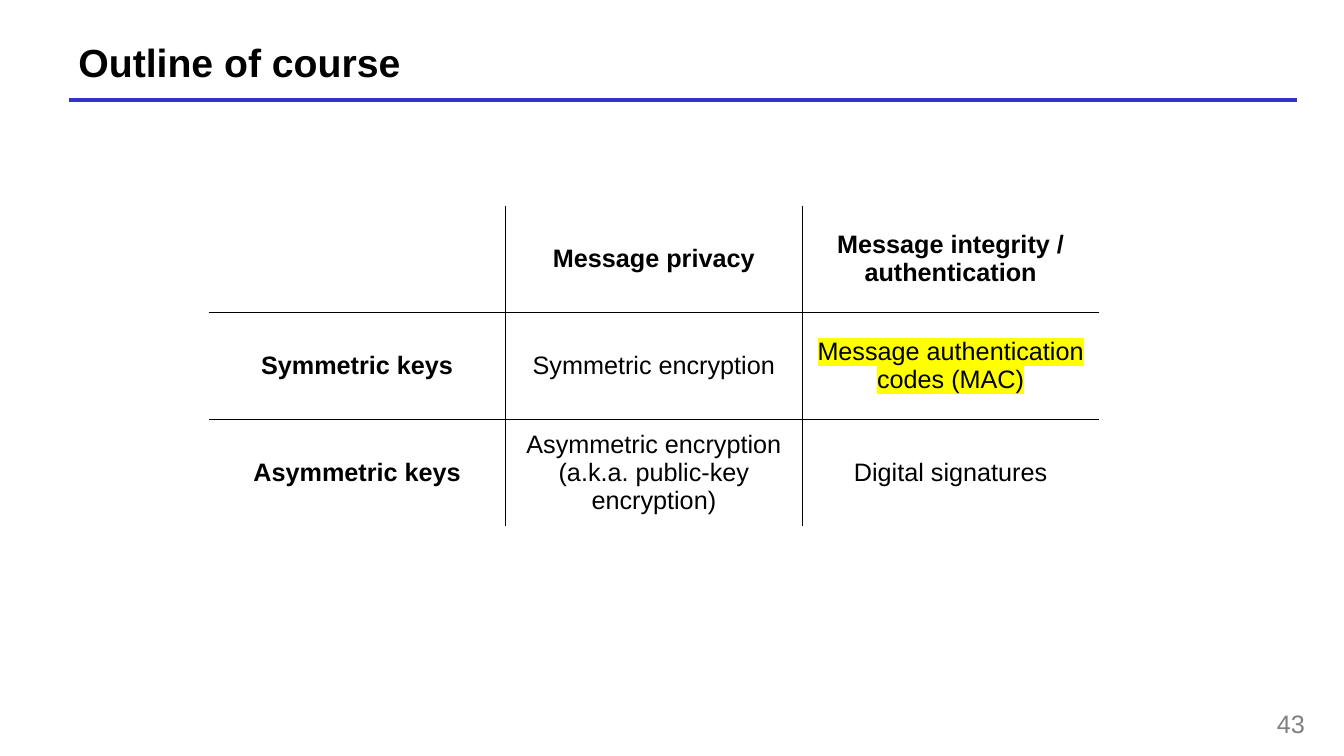
from lxml import etree
from pptx import Presentation
from pptx.dml.color import RGBColor
from pptx.enum.shapes import MSO_CONNECTOR
from pptx.enum.text import MSO_ANCHOR, PP_ALIGN
from pptx.oxml.ns import qn
from pptx.util import Pt

PX = 9144  # 100 px to the inch
LEFT, CENTER, RIGHT = PP_ALIGN.LEFT, PP_ALIGN.CENTER, PP_ALIGN.RIGHT
TOP, MIDDLE = MSO_ANCHOR.TOP, MSO_ANCHOR.MIDDLE
STRAIGHT = MSO_CONNECTOR.STRAIGHT


def color(value):
    return RGBColor.from_string(value)


def write(frame, text, size=18, ink="000000", bold=False, align=LEFT, highlight=None):
    frame.word_wrap = True
    paragraph = frame.paragraphs[0]
    paragraph.alignment = align
    run = paragraph.add_run()
    run.text = text
    run.font.size = Pt(size)
    run.font.bold = bold
    run.font.color.rgb = color(ink)
    if highlight:
        mark = etree.SubElement(run.font._element, qn("a:highlight"))
        etree.SubElement(mark, qn("a:srgbClr"), val=highlight)
    run.font.name = "Arial"


presentation = Presentation()
presentation.slide_width = 1333 * PX
presentation.slide_height = 750 * PX
slide = presentation.slides.add_slide(presentation.slide_layouts[6])

# Title and its rule
rule = slide.shapes.add_connector(STRAIGHT, 68 * PX, 99 * PX, 1286 * PX, 99 * PX)
rule.line.color.rgb = color("3333CC")
rule.line.width = Pt(3)
etree.SubElement(rule._element.spPr, qn("a:effectLst"))

title = slide.shapes.add_textbox(68 * PX, 36 * PX, 1218 * PX, 50 * PX)
title.text_frame.vertical_anchor = MIDDLE
write(title.text_frame, "Outline of course", size=28, bold=True)

# Page number
page_number = slide.shapes.add_textbox(1026 * PX, 698 * PX, 278 * PX, 36 * PX)
page_number.text_frame.vertical_anchor = TOP
write(page_number.text_frame, "43", ink="808080", align=RIGHT)

# Course table: bold headings, lines only between cells
ROWS = [
    ["", "Message privacy", "Message integrity / authentication"],
    ["Symmetric keys", "Symmetric encryption", "Message authentication codes (MAC)"],
    ["Asymmetric keys", "Asymmetric encryption (a.k.a. public-key encryption)",
     "Digital signatures"],
]
LAST = len(ROWS) - 1
HIGHLIGHTED = (1, 2)

table = slide.shapes.add_table(3, 3, 207 * PX, 204 * PX, 883 * PX, 318 * PX).table
table.first_row = False
table.horz_banding = False

for row, texts in enumerate(ROWS):
    for column, text in enumerate(texts):
        cell = table.cell(row, column)
        cell.vertical_anchor = MIDDLE
        if text:
            write(cell.text_frame, text, bold=row == 0 or column == 0, align=CENTER,
                  highlight="FFFF00" if (row, column) == HIGHLIGHTED else None)

        # Borders come before the fill in the cell properties
        properties = cell._tc.get_or_add_tcPr()
        inner_sides = {"lnL": column > 0, "lnR": column < LAST,
                       "lnT": row > 0, "lnB": row < LAST}
        for side, inner in inner_sides.items():
            border = etree.SubElement(properties, qn(f"a:{side}"), w=str(Pt(1)))
            if inner:
                line_fill = etree.SubElement(border, qn("a:solidFill"))
                etree.SubElement(line_fill, qn("a:srgbClr"), val="000000")
            else:
                etree.SubElement(border, qn("a:noFill"))
        cell.fill.background()

presentation.save("out.pptx")
